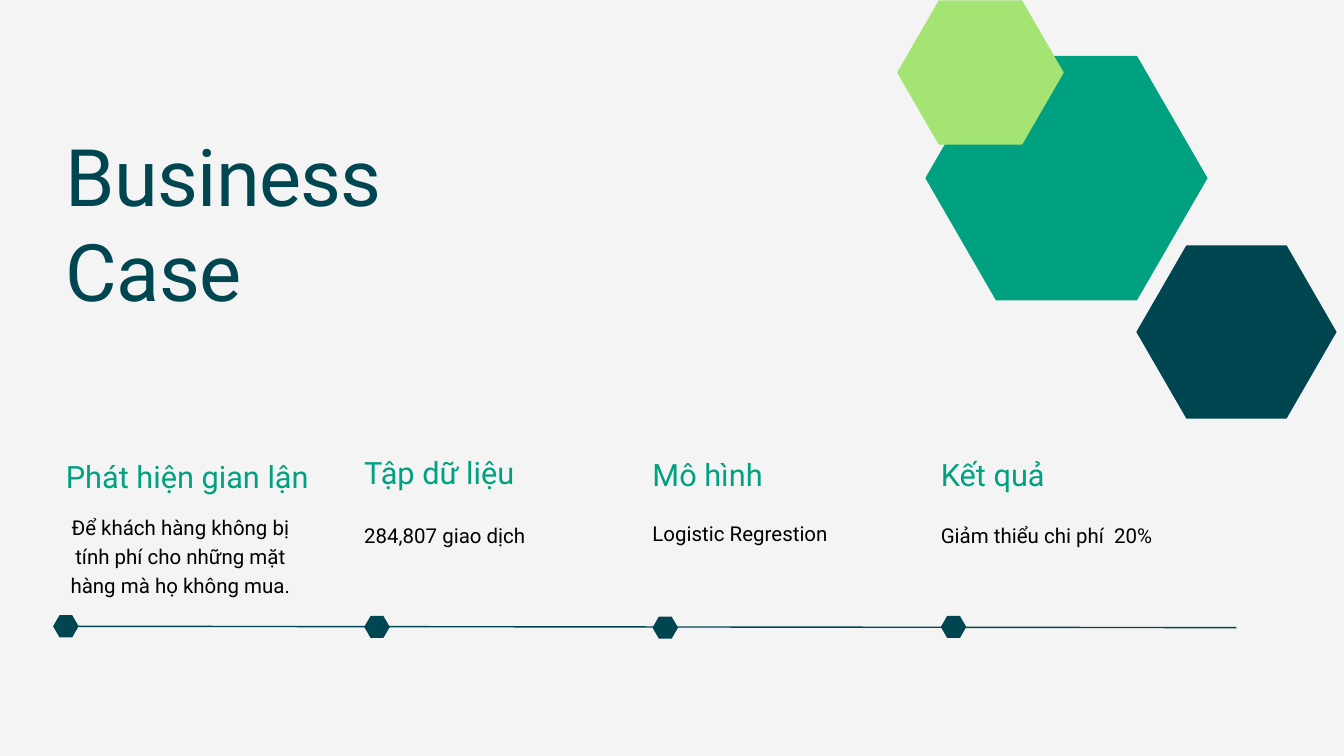
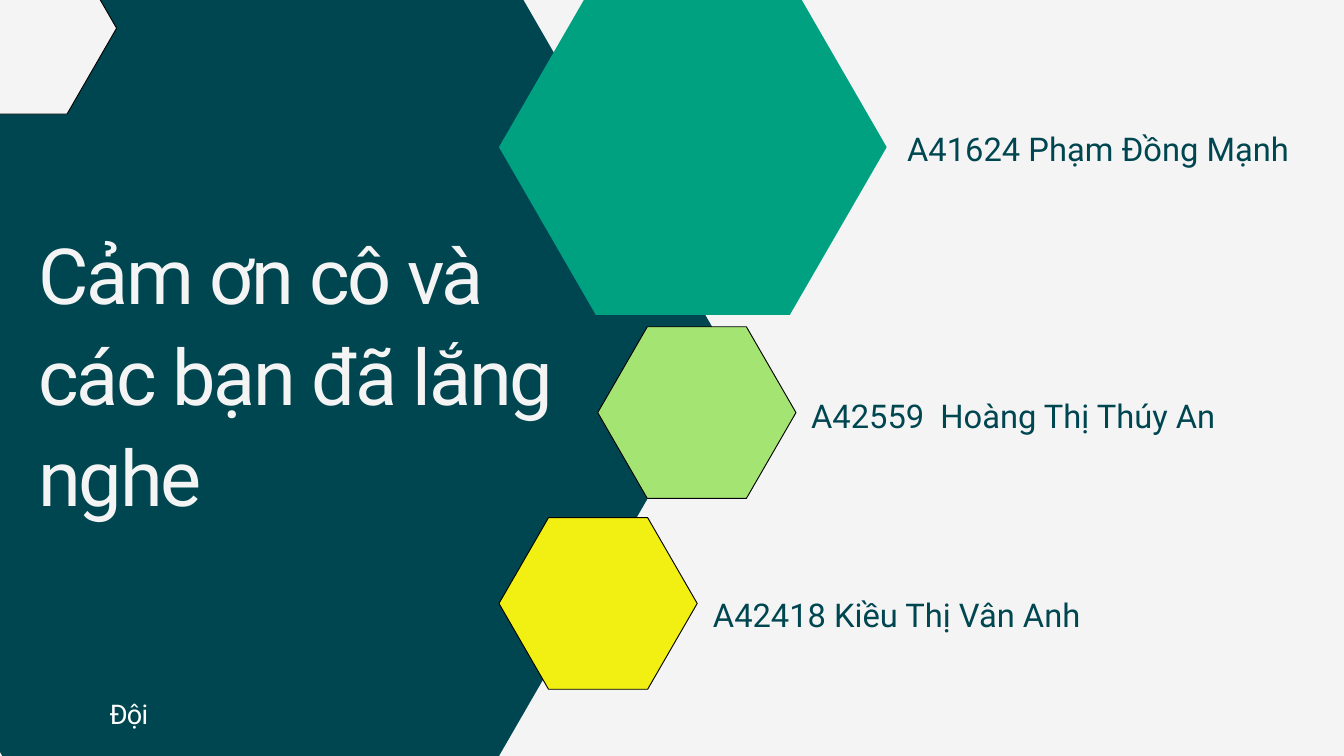
from math import sqrt
from pptx import Presentation
from pptx.dml.color import RGBColor as Rgb
from pptx.enum.shapes import MSO_CONNECTOR as Link, MSO_SHAPE as Form
from pptx.enum.text import MSO_AUTO_SIZE as Fit, PP_ALIGN as Align
from pptx.oxml.ns import qn
from pptx.util import Inches, Pt
from lxml.etree import SubElement

# Grid: 20 columns by 11.25 rows, each cell one inch
COLS, ROWS = 20, 11.25
FONT = "Roboto"
PALE, NAVY, TEAL, LIME = "F4F4F4", "004651", "00A181", "A4E473"
YELLOW, BLACK, WHITE = "F2EF12", "000000", "FFFFFF"
RISE = sqrt(3) / 2  # height of a regular hexagon by its width


def paint(target, tone):
    """Fill a shape, line or background with one colour."""
    target.solid()
    target.fore_color.rgb = Rgb.from_string(tone)


def page(deck):
    slide = deck.slides.add_slide(deck.slide_layouts[6])
    paint(slide.background.fill, PALE)
    return slide


def label(slide, text, col, row, wide, high, size, tone,
          lead=1.4, track=0, align=None):
    """Text box; lead is the line pitch as a share of the size."""
    box = slide.shapes.add_textbox(*map(Inches, (col, row, wide, high)))
    frame = box.text_frame
    frame.margin_left = frame.margin_right = 0
    frame.margin_top = frame.margin_bottom = 0
    frame.word_wrap = True
    frame.auto_size = Fit.SHAPE_TO_FIT_TEXT
    para = frame.paragraphs[0]
    para.line_spacing = Pt(round(lead * size, 1))
    para.alignment = align
    run = para.add_run()
    run.text = text
    run.font.name, run.font.size = FONT, Pt(size)
    paint(run.font.fill, tone)
    if track:
        run.font._element.set("spc", str(round(track * 100)))


def title(slide, text, row, size, tone, **more):
    label(slide, text, row=row, size=size, tone=tone, **more)


def hexagon(slide, col, row, wide, tone, edge=None):
    """Regular hexagon around a centre point."""
    high = wide * RISE
    box = (col - wide / 2, row - high / 2, wide, high)
    shape = slide.shapes.add_shape(Form.HEXAGON, *map(Inches, box))
    shape.adjustments[0] = 0.25 / RISE
    shape.shadow.inherit = False
    paint(shape.fill, tone)
    if edge:
        paint(shape.line.fill, edge)
        shape.line.width = Pt(1)
    else:
        shape.line.fill.background()


def rule(slide, start, end, tone):
    line = slide.shapes.add_connector(
        Link.STRAIGHT, *map(Inches, (*start, *end)))
    paint(line.line.fill, tone)
    line.line.width = Pt(1.5)
    SubElement(line._element.spPr, qn("a:effectLst"))


def step(slide, col, head, body, dot):
    """Timeline step: heading, detail and marker; each has its own row."""
    (name, top, span), (text, low, box, align) = head, body
    label(slide, name, col, top, span, 0.53, 32.9, TEAL, lead=1.2)
    shift = -0.11 if align else 0
    label(slide, text, col + shift, low, *box, 21.9, BLACK, align=align)
    hexagon(slide, *dot, 0.38, NAVY)


def case(deck):
    slide = page(deck)
    rule(slide, (0.98, 9.32), (18.4, 9.34), NAVY)

    # Timeline: the first step stands apart, the rest share one pitch
    first, second, pitch = 0.98, 5.42, 4.29
    step(slide, first, ("Phát hiện gian lận", 6.81, 4.29),
         ("Để khách hàng không bị tính phí cho những mặt hàng mà họ không mua.",
          7.61, (3.63, 1.24), Align.CENTER), (first, 9.32))
    steps = [
        ("Tập dữ liệu", 6.75, "284,807 giao dịch", 7.72, 3.37, 9.33),
        ("Mô hình", 6.78, "Logistic Regrestion", 7.69, 3.37, 9.34),
        ("Kết quả", 6.78, "Giảm thiểu chi phí  20%", 7.72, 4.39, 9.33),
    ]
    for i, (name, top, text, low, wide, mark) in enumerate(steps):
        col = second + i * pitch
        step(slide, col, (name, top, 3.37), (text, low, (wide, 0.4), None),
             (col + 0.19, mark))

    title(slide, "Business Case", 1.89, 85, NAVY, col=0.98, wide=5.78,
          high=2.82, lead=1.2, track=-0.8)

    # Corner cluster
    for spot in [(18.4, 4.94, 2.98, NAVY), (15.87, 2.65, 4.2, TEAL),
                 (14.59, 1.08, 2.48, LIME)]:
        hexagon(slide, *spot)


def thanks(deck):
    slide = page(deck)
    hexagon(slide, 3.73, 5.31, 14.25, NAVY)
    hexagon(slide, 10.31, 2.19, 5.77, TEAL)

    # Outlined hexagons of one size
    for col, row, tone in [(0.26, 0.42, PALE), (10.37, 6.14, LIME),
                           (8.9, 8.98, YELLOW)]:
        hexagon(slide, col, row, 2.95, tone, BLACK)

    # Team members
    for name, col, row, wide in [
            ("A41624 Phạm Đồng Mạnh", 13.5, 1.82, 6.3),
            ("A42559  Hoàng Thị Thúy An", 12.07, 5.79, 6.81),
            ("A42418 Kiều Thị Vân Anh", 10.61, 8.75, 6.46)]:
        label(slide, name, col, row, wide, 0.65, 35, NAVY)

    title(slide, "Cảm ơn cô và các bạn đã lắng nghe", 3.27, 83, PALE,
          col=0.57, wide=7.68, high=4.44, lead=1.3, track=-2.3)
    label(slide, "Đội", 1.63, 10.3, 3.55, 0.52, 29, WHITE, track=-0.8)


def main():
    deck = Presentation()
    deck.slide_width, deck.slide_height = Inches(COLS), Inches(ROWS)
    case(deck)
    thanks(deck)
    deck.save("out.pptx")


if __name__ == "__main__":
    main()
